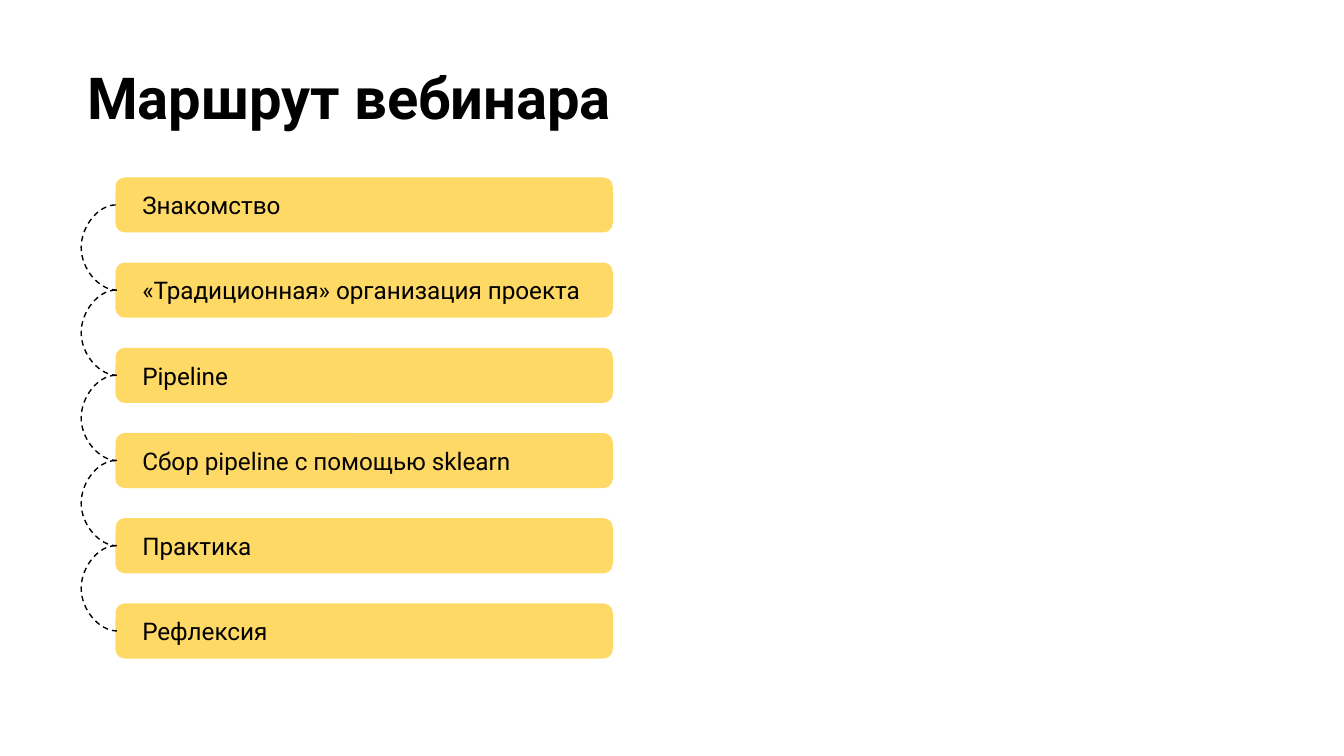
from dataclasses import dataclass

from lxml import etree
from pptx import Presentation
from pptx.dml.color import RGBColor
from pptx.enum.dml import MSO_LINE
from pptx.enum.shapes import MSO_CONNECTOR, MSO_SHAPE
from pptx.enum.text import MSO_ANCHOR, PP_ALIGN
from pptx.oxml.ns import qn
from pptx.util import Inches, Pt


@dataclass(frozen=True)
class Theme:
    """Colours, font and type sizes of the slide."""
    font: str = "Roboto"
    ink: RGBColor = RGBColor(0x00, 0x00, 0x00)
    soft_ink: RGBColor = RGBColor(0x05, 0x05, 0x05)
    bar: RGBColor = RGBColor(0xFF, 0xD9, 0x66)
    title_size: int = 31
    step_size: int = 13
    line_width: float = 0.75


THEME = Theme()
STEPS = [
    ("Знакомство", THEME.ink),
    ("«Традиционная» организация проекта", THEME.ink),
    ("Pipeline", THEME.ink),
    ("Сбор pipeline с помощью sklearn", THEME.soft_ink),
    ("Практика", THEME.ink),
    ("Рефлексия", THEME.ink),
]


def write(sp, text, size, color, inset, anchor, bold=False):
    """Put one left-aligned, formatted paragraph into a shape."""
    tf = sp.text_frame
    tf.text = text
    tf.word_wrap = True
    tf.vertical_anchor = anchor
    tf.margin_left = tf.margin_right = Inches(inset)
    tf.margin_top = tf.margin_bottom = Inches(0.1)
    p = tf.paragraphs[0]
    p.alignment = PP_ALIGN.LEFT
    font = p.runs[0].font
    font.name, font.size, font.bold = THEME.font, Pt(size), bold
    font.color.rgb = color


def add_title(s, text, left, top, width, height):
    """Place the slide title in the given box."""
    sp = s.shapes.add_textbox(Inches(left), Inches(top), Inches(width), Inches(height))
    write(sp, text, THEME.title_size, THEME.ink, 0.1, MSO_ANCHOR.TOP, bold=True)


def add_step(s, text, color, left, top, width, height):
    """Place one rounded bar of the route."""
    sp = s.shapes.add_shape(MSO_SHAPE.ROUNDED_RECTANGLE, Inches(left), Inches(top),
                            Inches(width), Inches(height))
    sp.adjustments[0] = 0.167
    sp.shadow.inherit = False
    sp.fill.solid()
    sp.fill.fore_color.rgb = THEME.bar
    sp.line.fill.background()
    write(sp, text, THEME.step_size, color, 0.18, MSO_ANCHOR.MIDDLE)
    return sp


def add_link(s, upper, lower, bulge=Inches(0.26), base=Inches(0.01)):
    """Join the left sides of two bars with a dashed arc."""
    start, end = (bar.top + bar.height // 2 for bar in (upper, lower))
    link = s.shapes.add_connector(MSO_CONNECTOR.CURVE, upper.left, start, lower.left, end)
    link.begin_connect(upper, 1)
    link.end_connect(lower, 1)
    link.width = base
    link.line.color.rgb = THEME.ink
    link.line.width = Pt(THEME.line_width)
    link.line.dash_style = MSO_LINE.DASH
    props = link._element.spPr
    etree.SubElement(props, qn("a:effectLst"))
    guides = props.find(qn("a:prstGeom")).find(qn("a:avLst"))
    ratio = round(-bulge / base * 100000)
    etree.SubElement(guides, qn("a:gd"), name="adj1", fmla=f"val {ratio}")


def add_route(s, steps, left, top, width, height, bar_height=0.41):
    """Spread the steps evenly down the box and link neighbours."""
    pitch = (height - bar_height) / (len(steps) - 1)
    bars = [add_step(s, text, color, left, top + i * pitch, width, bar_height)
            for i, (text, color) in enumerate(steps)]
    for upper, lower in zip(bars, bars[1:]):
        add_link(s, upper, lower)


def main():
    """Build the webinar route slide."""
    prs = Presentation()
    prs.slide_width = Inches(10)
    prs.slide_height = prs.slide_width * 9 // 16
    s = prs.slides.add_slide(prs.slide_layouts[6])
    add_title(s, "Маршрут вебинара", 0.55, 0.36, 9.32, 1.2)
    add_route(s, STEPS, 0.86, 1.32, 3.7, 3.58)
    prs.save("out.pptx")


if __name__ == "__main__":
    main()
